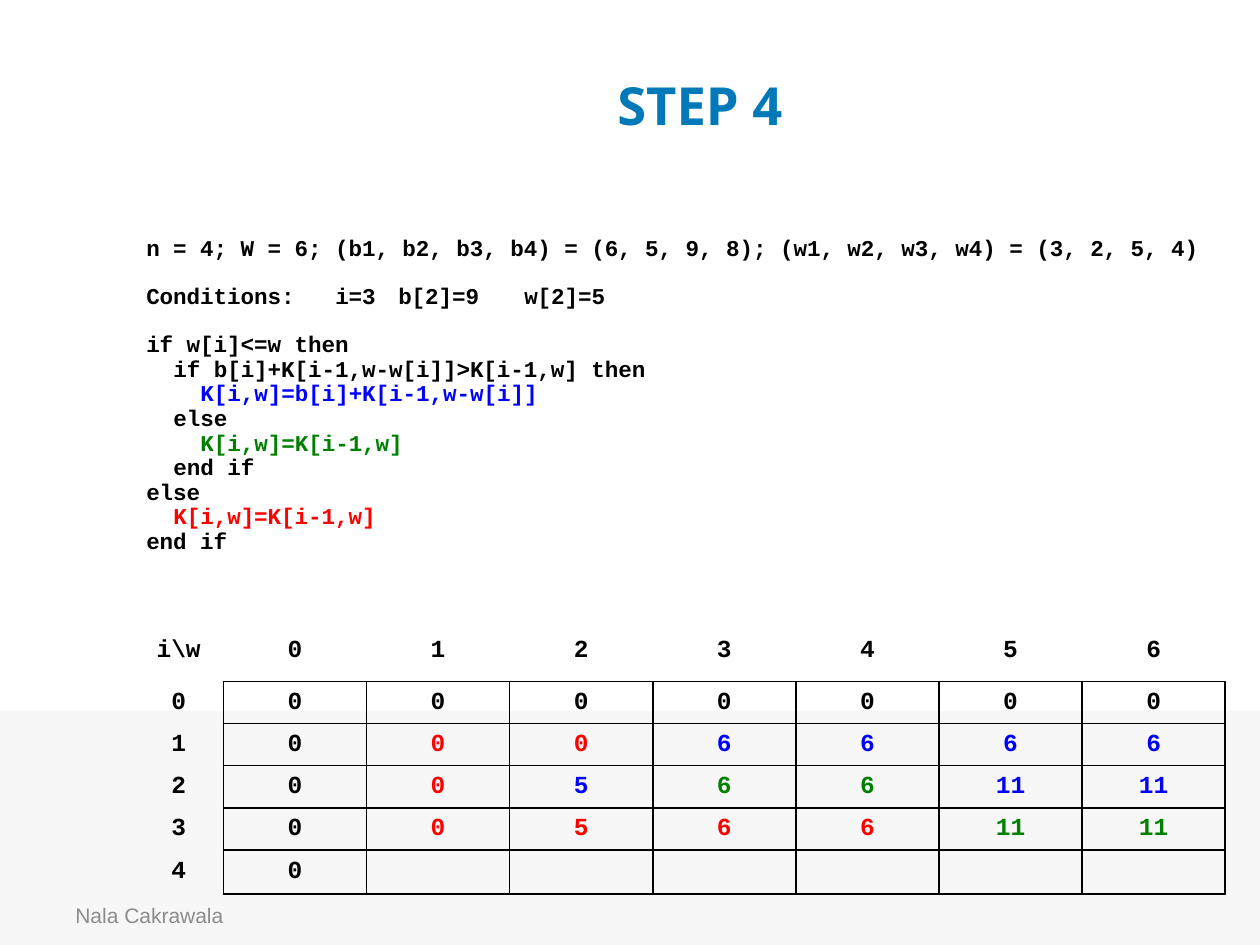
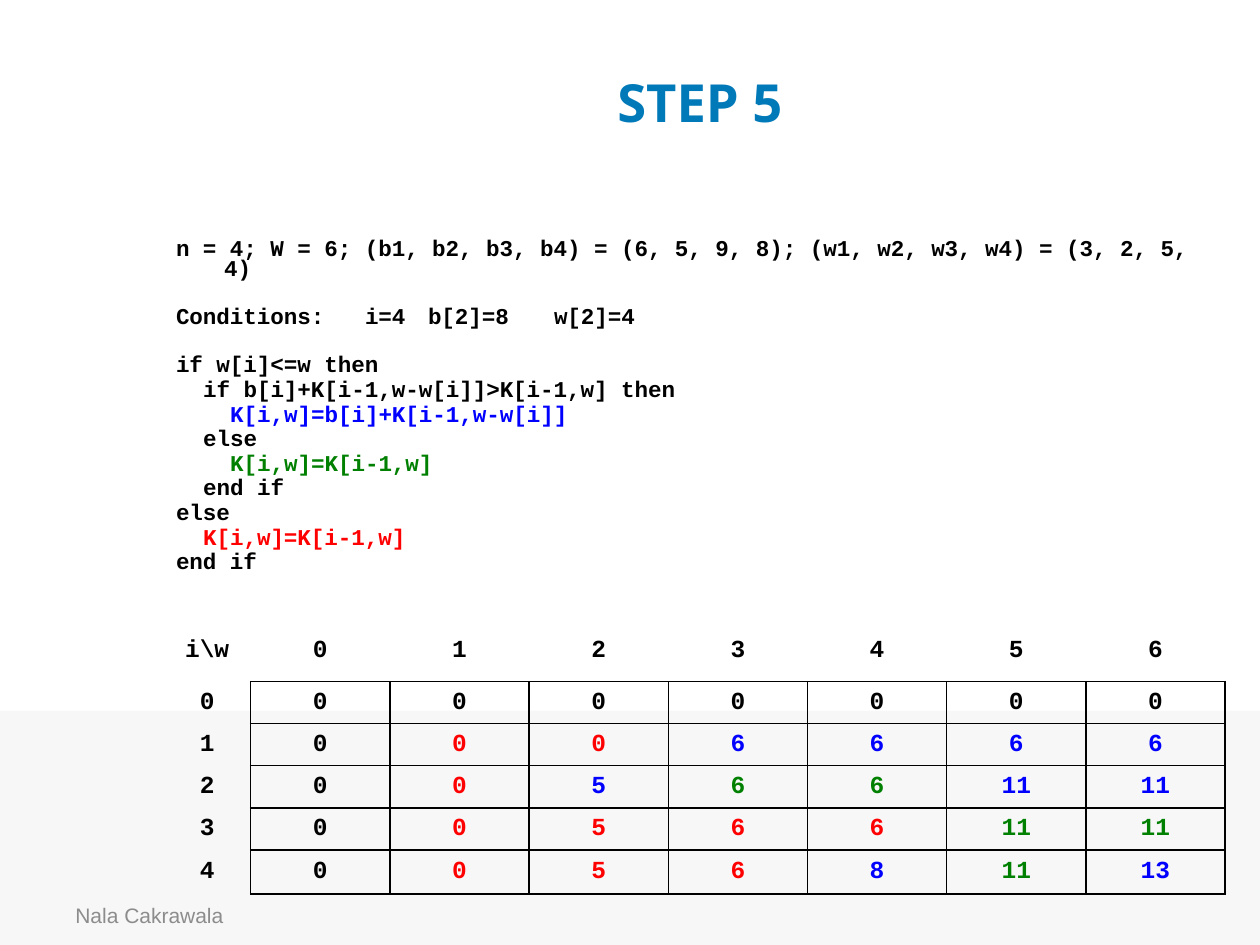
from lxml.etree import SubElement as Sub
from pptx import Presentation
from pptx.dml.color import RGBColor
from pptx.enum.shapes import MSO_SHAPE as Shape
from pptx.enum.text import MSO_ANCHOR as Anchor, PP_ALIGN as Align
from pptx.oxml.ns import qn
from pptx.util import Cm, Pt

# Shared look
BLACK = RGBColor(0x00, 0x00, 0x00)
BLUE = RGBColor(0x00, 0x00, 0xFF)
GREEN = RGBColor(0x00, 0x80, 0x00)
RED = RGBColor(0xFF, 0x00, 0x00)
TITLE = RGBColor(0x00, 0x79, 0xB8)
GREY = RGBColor(0x8C, 0x8C, 0x8C)
BAND = RGBColor(0xF7, 0xF7, 0xF7)
MONO = "Courier New"
PLAIN = "{2D5ABB26-0587-4C30-8999-92F81FD0307C}"

WIDE, HIGH = Cm(25.4), Cm(19.05)
RIGHT = Cm(24.7)
HANG = Cm(0.97)
CODE = 12.9
CHAR = int(Pt(CODE) * 0.6)
GAP, LINE = 2.6, 13.5

# The knapsack problem
GAINS = (6, 5, 9, 8)
LOADS = (3, 2, 5, 4)
ROOM = 6

# Code lines: depth in characters, text, colour
RULES = (
    (0, "if w[i]<=w then", BLACK),
    (2, "if b[i]+K[i-1,w-w[i]]>K[i-1,w] then", BLACK),
    (4, "K[i,w]=b[i]+K[i-1,w-w[i]]", BLUE),
    (2, "else", BLACK),
    (4, "K[i,w]=K[i-1,w]", GREEN),
    (2, "end if", BLACK),
    (0, "else", BLACK),
    (2, "K[i,w]=K[i-1,w]", RED),
    (0, "end if", BLACK),
)


def add_run(par, text, size, face, color, bold=True):
    run = par.add_run()
    run.text = text
    font = run.font
    font.size, font.name, font.bold = Pt(size), face, bold
    font.color.rgb = color


def add_box(slide, left, top, width, height, anchor=Anchor.MIDDLE):
    frame = slide.shapes.add_textbox(left, top, width, height).text_frame
    frame.word_wrap = True
    frame.vertical_anchor = anchor
    return frame


def add_base(slide, title, top):
    """Band, footer and title."""
    band = slide.shapes.add_shape(Shape.RECTANGLE, 0, Cm(14.33), WIDE, HIGH - Cm(14.33))
    band.shadow.inherit = False
    band.fill.solid()
    band.fill.fore_color.rgb = BAND
    band.line.fill.background()

    foot = add_box(slide, Cm(1.27), Cm(17.93), Cm(5.92), Cm(1.02))
    add_run(foot.paragraphs[0], "Nala Cakrawala", 12, "Arial", GREY, False)

    head = add_box(slide, Cm(2.11), top, Cm(24), Cm(1.6)).paragraphs[0]
    head.alignment = Align.CENTER
    add_run(head, title, 30, "Open Sans", TITLE)


def add_line(par, text, color=BLACK, depth=0, apart=False):
    """One code line; apart leaves a free line above it."""
    par.line_spacing = 0.74
    par.space_before = Pt(GAP + LINE if apart else GAP)
    props = par._p.get_or_add_pPr()
    props.set("marL", str(HANG + depth * CHAR))
    props.set("indent", str(-HANG))
    add_run(par, text, CODE, MONO, color)
    return props


def add_code(slide, left, item):
    frame = add_box(slide, left, Cm(4.72), RIGHT - left, Cm(7.21), Anchor.TOP)
    gains = ", ".join(map(str, GAINS))
    loads = ", ".join(map(str, LOADS))
    add_line(frame.paragraphs[0],
             f"n = {len(GAINS)}; W = {ROOM}; (b1, b2, b3, b4) = ({gains}); "
             f"(w1, w2, w3, w4) = ({loads})")

    # Conditions, spread with tab stops
    props = add_line(frame.add_paragraph(),
                     f"Conditions:\ti={item}\tb[2]={GAINS[item - 1]}"
                     f"\tw[2]={LOADS[item - 1]}", apart=True)
    props.set("marL", "0")
    props.set("indent", "0")
    tabs = Sub(props, qn("a:tabLst"))
    for col in (14, 20, 29):
        Sub(tabs, qn("a:tab"), pos=str(col * CHAR), algn="l")

    for row, (depth, text, color) in enumerate(RULES):
        par = frame.add_paragraph()
        par.alignment = Align.JUSTIFY
        add_line(par, text, color, depth, apart=row == 0)


def solve(last):
    """Rows of (value, colour), filled up to item last."""
    rows = [[(0, BLACK)] * (ROOM + 1)]
    for item, (gain, load) in enumerate(zip(GAINS, LOADS), 1):
        row = [(0, BLACK)]
        for room in range(1, ROOM + 1):
            if item > last:
                row.append(("", BLACK))
                continue
            old = rows[-1][room][0]
            if load > room:
                row.append((old, RED))
            elif gain + rows[-1][room - load][0] > old:
                row.append((gain + rows[-1][room - load][0], BLUE))
            else:
                row.append((old, GREEN))
        rows.append(row)
    return rows


def add_edges(cell, sides):
    props = cell._tc.get_or_add_tcPr()
    for side in "LRTB":
        line = Sub(props, qn(f"a:ln{side}"), w=str(Pt(1)))
        if side in sides:
            fill = Sub(line, qn("a:solidFill"))
            Sub(fill, qn("a:srgbClr"), val=str(BLACK))
        else:
            Sub(line, qn("a:noFill"))


def fill_cell(cell, text, color, sides):
    add_edges(cell, sides)
    cell.fill.background()
    cell.vertical_anchor = Anchor.MIDDLE
    par = cell.text_frame.paragraphs[0]
    par.alignment = Align.CENTER
    if text == "":
        Sub(par._p, qn("a:endParaRPr"), sz="1400")
    else:
        add_run(par, str(text), 14, MONO, color)


def add_grid(slide, left, last):
    rows = [[("i\\w", BLACK)] + [(room, BLACK) for room in range(ROOM + 1)]]
    rows += [[(item, BLACK)] + row for item, row in enumerate(solve(last))]
    highs = [Cm(1.22)] + [Cm(0.81)] * 4 + [Cm(0.89)]
    width = RIGHT - left
    table = slide.shapes.add_table(len(rows), ROOM + 2, left, Cm(12.52),
                                   width, sum(highs)).table
    table.first_row = table.horz_banding = False
    table._tbl.tblPr.find(qn("a:tableStyleId")).text = PLAIN

    # A narrow label column, the others equal
    label = int(width * 0.082)
    for col, part in enumerate(table.columns):
        part.width = (width - label) // (ROOM + 1) if col else label
    for part, high in zip(table.rows, highs):
        part.height = high

    for y, row in enumerate(rows):
        for x, (text, color) in enumerate(row):
            if x and y:
                sides = "LRTB"
            else:
                sides = "B" if x else "R" if y else ""
            fill_cell(table.cell(y, x), text, color, sides)


def main():
    deck = Presentation()
    deck.slide_width, deck.slide_height = WIDE, HIGH
    steps = (("STEP 4", Cm(1.3), Cm(2.7), 3),
             ("STEP 5", Cm(1.25), Cm(3.3), 4))
    for title, top, left, item in steps:
        slide = deck.slides.add_slide(deck.slide_layouts[6])
        add_base(slide, title, top)
        add_code(slide, left, item)
        add_grid(slide, left, item)
    deck.save("out.pptx")


if __name__ == "__main__":
    main()
